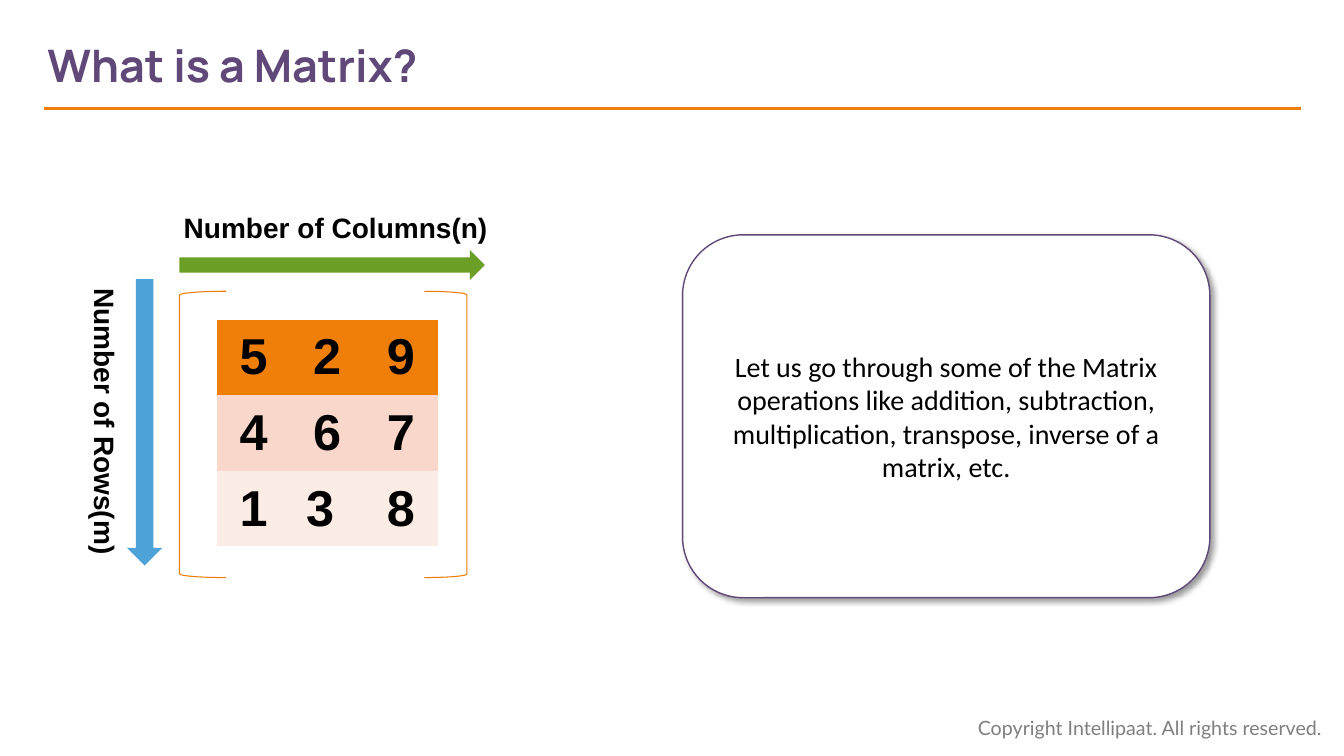
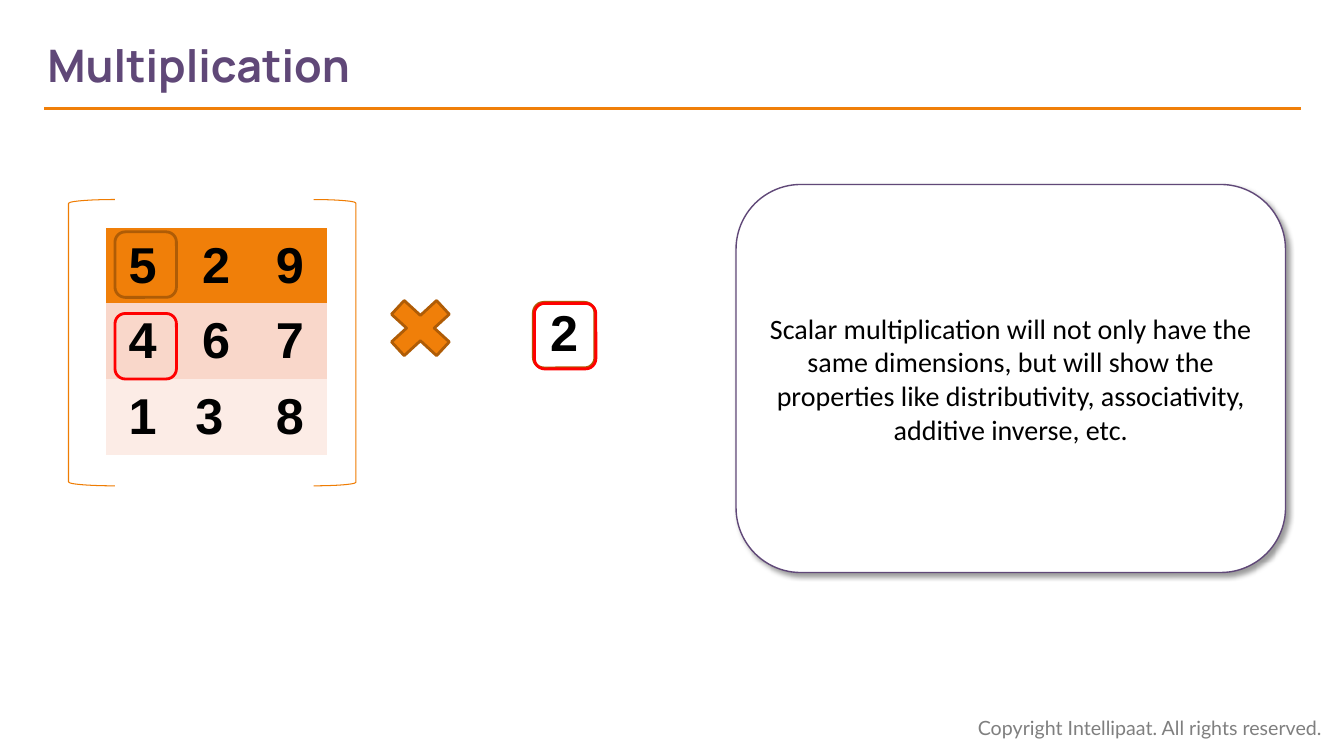
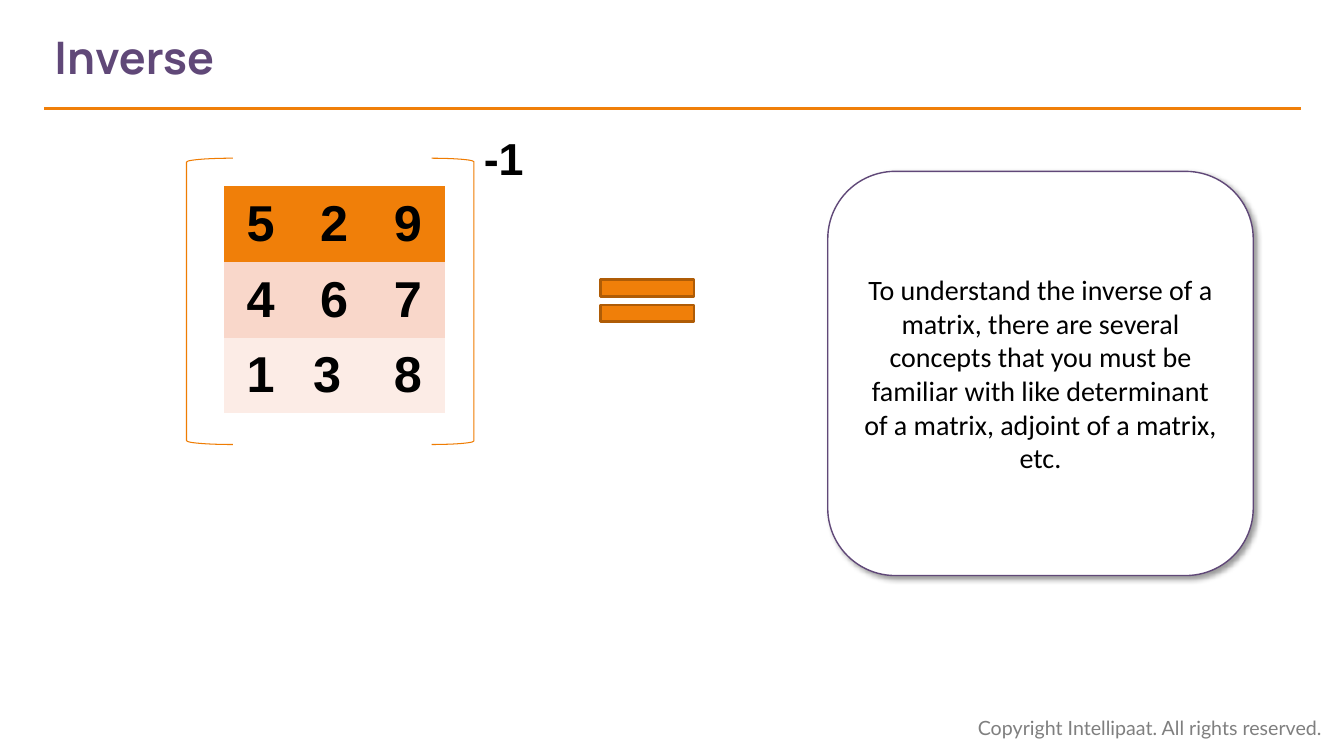
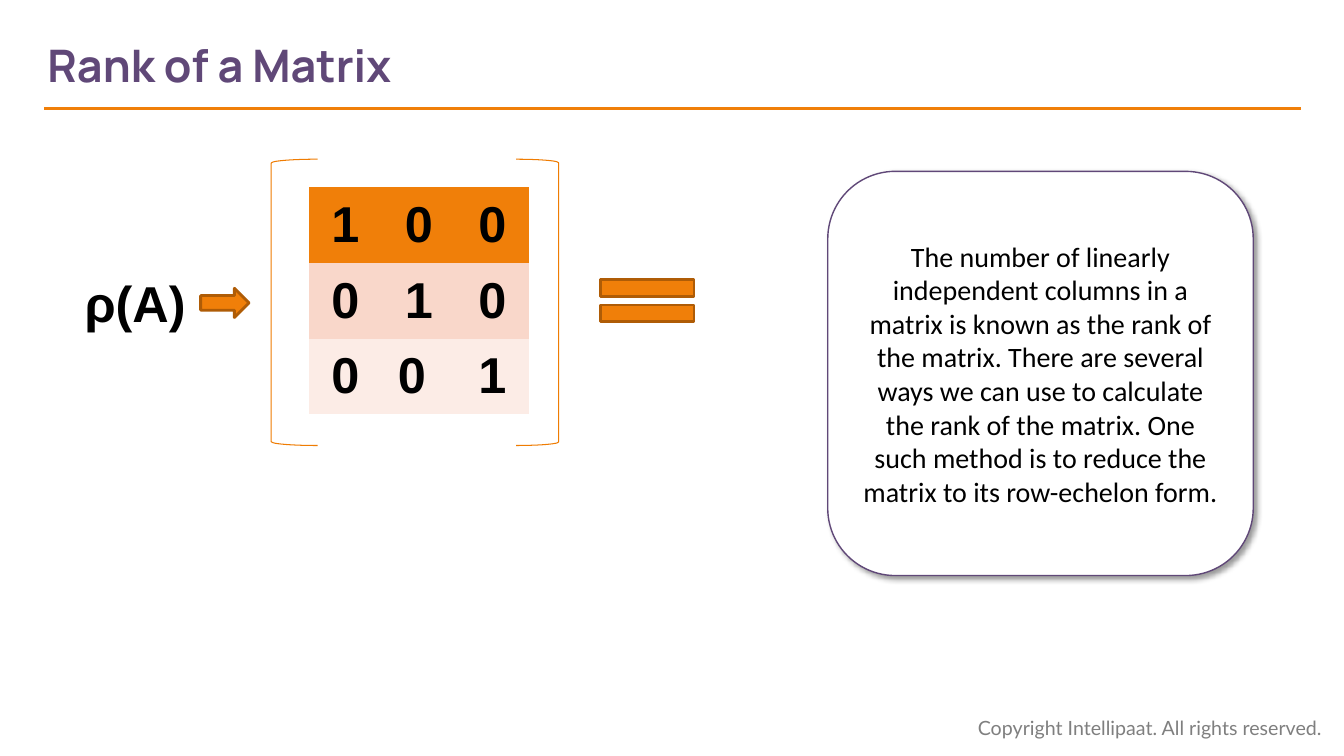
from dataclasses import dataclass
from typing import Any, Optional

import pptx
import pptx.dml.color
import pptx.enum.shapes
import pptx.enum.text
import pptx.oxml
import pptx.oxml.ns
import pptx.util

SHAPE = pptx.enum.shapes.MSO_SHAPE
ALIGN = pptx.enum.text.PP_ALIGN
ANCHOR = pptx.enum.text.MSO_ANCHOR
EMU_PER_PX = 9144

ORANGE, DARK_ORANGE, BRACKET_ORANGE = "F07F09", "AF5C06", "EF7C02"
PURPLE, GREEN, BLUE, RED = "604878", "6B9F25", "4DA3D8", "FF0000"
BLACK, GREY, WHITE = "000000", "7F7F7F", "FFFFFF"
ROW_FILLS = (ORANGE, "F9D7CA", "FCECE6")
COLUMN_WIDTH, ROW_HEIGHT = 73, 75
NO_GRID_STYLE = "{2D5ABB26-0587-4C30-8999-92F81FD0307C}"
COPYRIGHT = "Copyright Intellipaat. All rights reserved."


@dataclass(frozen=True)
class Box:
    left: int
    top: int
    width: int
    height: int

    def emu(self) -> tuple[int, ...]:
        return tuple(px(n) for n in (self.left, self.top, self.width, self.height))


@dataclass(frozen=True)
class TextStyle:
    font: str
    size: int
    color: str = BLACK
    bold: bool = False


@dataclass(frozen=True)
class Figure:
    kind: Any
    box: Box
    fill: Optional[str] = None
    line: Optional[str] = None
    line_width: float = 2
    adjustments: tuple[float, ...] = ()


@dataclass(frozen=True)
class Label:
    text: str
    box: Box
    style: TextStyle
    align: Any = ALIGN.LEFT
    rotation: int = 0


@dataclass(frozen=True)
class Matrix:
    left: int
    top: int
    rows: tuple[tuple[str, ...], ...]


@dataclass(frozen=True)
class Page:
    title: str
    matrix: Matrix
    card: Box
    explanation: str
    figures: tuple[Figure, ...] = ()
    labels: tuple[Label, ...] = ()
    title_box: Box = Box(47, 22, 947, 84)


TITLE_STYLE = TextStyle("Manrope", 32, PURPLE, True)
CARD_STYLE = TextStyle("Calibri", 20)
NUMBER_STYLE = TextStyle("Arial", 36, bold=True)
EXPONENT_STYLE = TextStyle("Arial", 32, bold=True)
AXIS_STYLE = TextStyle("Arial", 20, bold=True)
FOOTER_STYLE = TextStyle("Lato", 14, GREY)


def px(length: int) -> int:
    return pptx.util.Emu(length * EMU_PER_PX)


def colour(hex_value: str) -> pptx.dml.color.RGBColor:
    return pptx.dml.color.RGBColor.from_string(hex_value)


def set_all(target: Any, values: dict[str, Any]) -> None:
    for name, value in values.items():
        setattr(target, name, value)


def write(frame: Any, text: str, style: TextStyle, align: Any) -> None:
    paragraph = frame.paragraphs[0]
    paragraph.alignment = align
    run = paragraph.add_run()
    run.text = text
    set_all(run.font, {
        "name": style.font,
        "size": pptx.util.Pt(style.size),
        "bold": style.bold,
    })
    run.font.color.rgb = colour(style.color)


def draw_figure(slide: Any, figure: Figure) -> Any:
    shape = slide.shapes.add_shape(figure.kind, *figure.box.emu())
    shape.shadow.inherit = False
    for index, value in enumerate(figure.adjustments):
        shape.adjustments[index] = value
    if figure.fill:
        shape.fill.solid()
        shape.fill.fore_color.rgb = colour(figure.fill)
    else:
        shape.fill.background()
    if figure.line:
        shape.line.color.rgb = colour(figure.line)
        shape.line.width = pptx.util.Pt(figure.line_width)
    else:
        shape.line.fill.background()
    return shape


def draw_label(slide: Any, label: Label) -> Any:
    shape = slide.shapes.add_textbox(*label.box.emu())
    shape.rotation = label.rotation
    shape.text_frame.word_wrap = True
    write(shape.text_frame, label.text, label.style, label.align)
    return shape


def draw_title(slide: Any, text: str, box: Box) -> None:
    title = slide.shapes.title
    set_all(title, dict(zip(("left", "top", "width", "height"), box.emu())))
    set_all(title.text_frame, {
        "margin_left": 0,
        "word_wrap": True,
        "auto_size": pptx.enum.text.MSO_AUTO_SIZE.NONE,
        "vertical_anchor": ANCHOR.MIDDLE,
    })
    write(title.text_frame, text, TITLE_STYLE, ALIGN.LEFT)


def draw_card(slide: Any, box: Box, text: str) -> None:
    card = draw_figure(slide, Figure(SHAPE.ROUNDED_RECTANGLE, box, WHITE, PURPLE, 1, (0.167,)))
    effects = card.element.spPr.find(pptx.oxml.ns.qn("a:effectLst"))
    effects.append(pptx.oxml.parse_xml(
        f'<a:outerShdw {pptx.oxml.ns.nsdecls("a")} blurRad="{pptx.util.Pt(4)}"'
        f' dist="{pptx.util.Pt(3)}" dir="2700000" algn="tl" rotWithShape="0">'
        f'<a:srgbClr val="{BLACK}"><a:alpha val="40000"/></a:srgbClr></a:outerShdw>'
    ))
    set_all(card.text_frame, {"word_wrap": True, "vertical_anchor": ANCHOR.MIDDLE})
    write(card.text_frame, text, CARD_STYLE, ALIGN.CENTER)


def draw_matrix(slide: Any, matrix: Matrix) -> None:
    brackets = [
        draw_figure(slide, Figure(kind, Box(matrix.left + offset, matrix.top, width, 284),
                                  None, BRACKET_ORANGE, 0.75, (0.083,)))
        for kind, offset, width in ((SHAPE.LEFT_BRACKET, 0, 46), (SHAPE.RIGHT_BRACKET, 243, 42))
    ]
    slide.shapes.add_group_shape(brackets)

    row_count, column_count = len(matrix.rows), len(matrix.rows[0])
    box = Box(matrix.left + 37, matrix.top + 28,
              column_count * COLUMN_WIDTH, row_count * ROW_HEIGHT)
    frame = slide.shapes.add_table(row_count, column_count, *box.emu())
    for style_id in frame.element.iter(pptx.oxml.ns.qn("a:tableStyleId")):
        style_id.text = NO_GRID_STYLE
    set_all(frame.table, {"first_row": False, "horz_banding": False})
    for r, (numbers, fill) in enumerate(zip(matrix.rows, ROW_FILLS)):
        for c, number in enumerate(numbers):
            cell = frame.table.cell(r, c)
            cell.vertical_anchor = ANCHOR.MIDDLE
            cell.fill.solid()
            cell.fill.fore_color.rgb = colour(fill)
            write(cell.text_frame, number, NUMBER_STYLE, ALIGN.CENTER)


def furnish_layout(layout: Any, slide: Any) -> None:
    for placeholder in list(layout.placeholders)[1:]:
        placeholder.element.getparent().remove(placeholder.element)
    rule = slide.shapes.add_connector(
        pptx.enum.shapes.MSO_CONNECTOR.STRAIGHT, px(1290), px(108), px(44), px(108))
    rule.line.color.rgb = colour(ORANGE)
    rule.line.width = pptx.util.Pt(2.25)
    rule.element.spPr.append(pptx.oxml.parse_xml(
        f'<a:effectLst {pptx.oxml.ns.nsdecls("a")}/>'))
    footer = draw_label(slide, Label(COPYRIGHT, Box(960, 705, 367, 34), FOOTER_STYLE))
    for shared in (footer, rule):
        layout.shapes.element.append(shared.element)


def highlight(left: int, top: int, line: str) -> Figure:
    return Figure(SHAPE.FLOWCHART_ALTERNATE_PROCESS, Box(left, top, 61, 65), None, line)


SAMPLE = (("5", "2", "9"), ("4", "6", "7"), ("1", "3 ", "8"))
IDENTITY = (("1", "0", "0"), ("0", "1", "0"), ("0", "0 ", "1"))
NARROW_CARD = Box(821, 170, 422, 401)
EQUALS = Figure(SHAPE.MATH_EQUAL, Box(579, 263, 126, 71), ORANGE, DARK_ORANGE,
                adjustments=(0.235, 0.118))

PAGES = (
    Page(
        "What is a Matrix?",
        Matrix(178, 289, SAMPLE),
        Box(677, 233, 523, 360),
        "Let us go through some of the Matrix operations like addition, subtraction, "
        "multiplication, transpose, inverse of a matrix, etc.",
        figures=(
            Figure(SHAPE.RIGHT_ARROW, Box(178, 248, 303, 30), GREEN),
            Figure(SHAPE.DOWN_ARROW, Box(126, 277, 35, 284), BLUE),
        ),
        labels=(
            Label("Number of Rows(m)", Box(-43, 396, 294, 44), AXIS_STYLE, ALIGN.CENTER, 90),
            Label("Number of Columns(n)", Box(168, 204, 330, 44), AXIS_STYLE, ALIGN.CENTER),
        ),
    ),
    Page(
        "Multiplication",
        Matrix(68, 198, SAMPLE),
        Box(730, 183, 545, 385),
        "Scalar multiplication will not only have the same dimensions, but will show the "
        "properties like distributivity, associativity, additive inverse, etc.",
        figures=(
            Figure(SHAPE.MATH_MULTIPLY, Box(374, 286, 86, 79), ORANGE, DARK_ORANGE,
                   adjustments=(0.235,)),
            highlight(114, 230, DARK_ORANGE),
            highlight(529, 300, DARK_ORANGE),
            highlight(114, 311, RED),
            highlight(530, 301, RED),
        ),
        labels=(Label("2", Box(511, 294, 97, 71), NUMBER_STYLE, ALIGN.CENTER),),
    ),
    Page(
        "Inverse",
        Matrix(185, 157, SAMPLE),
        NARROW_CARD,
        "To understand the inverse of a matrix, there are several concepts that you must be "
        "familiar with like determinant of a matrix, adjoint of a matrix, etc.",
        figures=(EQUALS,),
        labels=(Label("-1", Box(470, 125, 69, 64), EXPONENT_STYLE),),
        title_box=Box(54, 14, 947, 84),
    ),
    Page(
        "Rank of a Matrix",
        Matrix(269, 158, IDENTITY),
        NARROW_CARD,
        "The number of linearly independent columns in a matrix is known as the rank of the "
        "matrix. There are several ways we can use to calculate the rank of the matrix. One "
        "such method is to reduce the matrix to its row-echelon form.",
        figures=(
            EQUALS,
            Figure(SHAPE.RIGHT_ARROW, Box(199, 286, 48, 29), ORANGE, DARK_ORANGE),
        ),
        labels=(Label("ρ(A)", Box(74, 265, 132, 71), NUMBER_STYLE),),
    ),
)


def main() -> None:
    deck = pptx.Presentation()
    set_all(deck, {"slide_width": px(1333), "slide_height": px(750)})
    layout = deck.slide_layouts.get_by_name("Title Only")
    for number, page in enumerate(PAGES):
        slide = deck.slides.add_slide(layout)
        if number == 0:
            furnish_layout(layout, slide)
        draw_title(slide, page.title, page.title_box)
        draw_card(slide, page.card, page.explanation)
        draw_matrix(slide, page.matrix)
        for figure in page.figures:
            draw_figure(slide, figure)
        for label in page.labels:
            draw_label(slide, label)
    deck.save("out.pptx")


if __name__ == "__main__":
    main()
